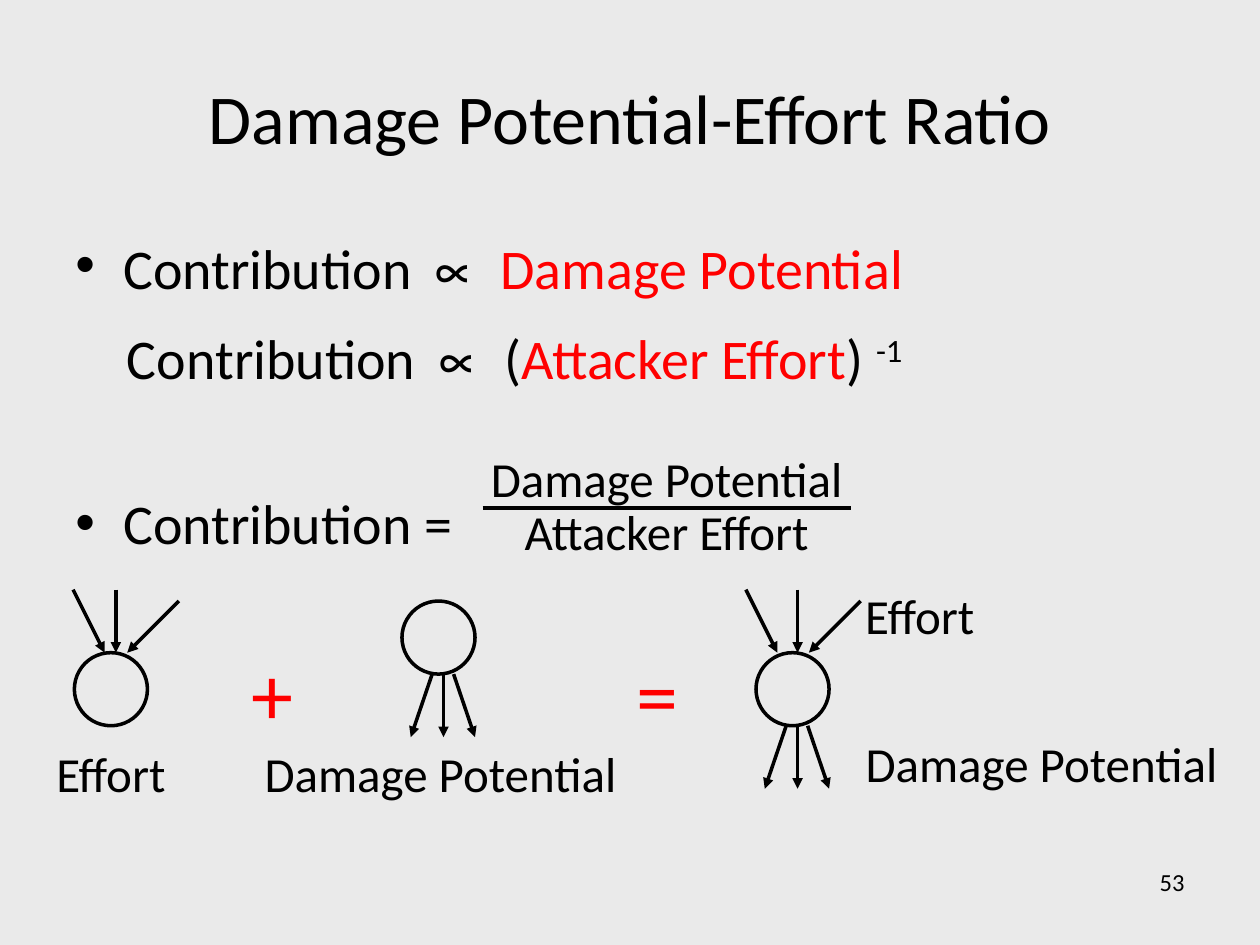
"""Builds the slide on the damage potential-effort ratio."""
import pptx
import pptx.util
import pptx.dml.color
import pptx.enum.shapes
import pptx.enum.text
import pptx.oxml.ns
import lxml.etree

Inches, Pt = pptx.util.Inches, pptx.util.Pt
qn = pptx.oxml.ns.qn
ALIGN, ANCHOR = pptx.enum.text.PP_ALIGN, pptx.enum.text.MSO_ANCHOR
BLACK = pptx.dml.color.RGBColor(0x00, 0x00, 0x00)
RED = pptx.dml.color.RGBColor(0xFF, 0x00, 0x00)
GREY = pptx.dml.color.RGBColor(0xEA, 0xEA, 0xEA)

deck = pptx.Presentation()
deck.slide_width, deck.slide_height = Inches(10), Inches(7.5)
slide = deck.slides.add_slide(deck.slide_layouts[6])
slide.background.fill.solid()
slide.background.fill.fore_color.rgb = GREY


def add_label(text, left, top, width, height, size, color=BLACK,
              align=ALIGN.CENTER, anchor=ANCHOR.MIDDLE, wrap=False, inset=0.1):
    label = slide.shapes.add_textbox(Inches(left), Inches(top), Inches(width), Inches(height))
    frame = label.text_frame
    frame.word_wrap = wrap
    frame.margin_left = frame.margin_right = Inches(inset)
    frame.vertical_anchor = anchor
    frame.paragraphs[0].alignment = align
    run = frame.paragraphs[0].add_run()
    run.text = text
    run.font.name, run.font.size, run.font.color.rgb = "Calibri", Pt(size), color


def add_line(start, end, width=2, arrow=True):
    line = slide.shapes.add_connector(
        pptx.enum.shapes.MSO_CONNECTOR.STRAIGHT, *map(Inches, start + end))
    line.line.color.rgb = BLACK
    line.line.width = Pt(width)
    if arrow:
        lxml.etree.SubElement(line.line._get_or_add_ln(), qn("a:tailEnd"), type="triangle")
    lxml.etree.SubElement(line._element.spPr, qn("a:effectLst"))


add_label("53", 7.17, 6.83, 2.33, 0.52, 14, align=ALIGN.RIGHT, anchor=ANCHOR.TOP, wrap=True)
add_label("Damage Potential-Effort Ratio", 0.5, 0.3, 9, 1.25, 40, wrap=True)

# bulleted, space before, runs of (text, size, font, color, baseline)
statements = [
    (True, 0, [("Contribution ", 32, "Calibri", BLACK, 0), ("∝", 36, "Arial", BLACK, 0),
               (" ", 32, "Calibri", BLACK, 0), ("Damage Potential", 32, "Calibri", RED, 0)]),
    (False, 8, [("Contribution ", 32, "Calibri", BLACK, 0), ("∝", 36, "Arial", BLACK, 0),
                (" (", 32, "Calibri", BLACK, 0), ("Attacker Effort", 32, "Calibri", RED, 0),
                (") ", 32, "Calibri", BLACK, 0), ("-1", 32, "Calibri", BLACK, 30000)]),
    (True, 55, [("Contribution =", 32, "Calibri", BLACK, 0)]),
]
body = slide.shapes.add_textbox(Inches(0.5), Inches(1.75), Inches(9), Inches(4.95)).text_frame
body.word_wrap = True
for index, (bulleted, space, runs) in enumerate(statements):
    statement = body.add_paragraph() if index else body.paragraphs[0]
    statement.space_before = Pt(space)
    properties = statement._p.get_or_add_pPr()
    properties.set("marL", str(Inches(0.38 if bulleted else 0.41)))
    properties.set("indent", str(Inches(-0.38 if bulleted else 0)))
    if bulleted:
        lxml.etree.SubElement(properties, qn("a:buFont"), typeface="Arial")
        lxml.etree.SubElement(properties, qn("a:buChar"), char="•")
    else:
        lxml.etree.SubElement(properties, qn("a:buNone"))
    for text, size, font, color, baseline in runs:
        run = statement.add_run()
        run.text = text
        run.font.name, run.font.size, run.font.color.rgb = font, Pt(size), color
        if baseline:
            run._r.get_or_add_rPr().set("baseline", str(baseline))

# axis of the arrows, circle top, shift of the left incoming arrow, has incoming, has outgoing
DIAMETER = 0.58
nodes = [(0.92, 5.18, 0.07, True, False),
         (3.52, 4.77, 0, False, True),
         (6.33, 5.18, 0, True, True)]
for axis, top, shift, incoming, outgoing in nodes:
    circle = slide.shapes.add_shape(
        pptx.enum.shapes.MSO_SHAPE.OVAL, Inches(axis - 0.33), Inches(top),
        Inches(DIAMETER), Inches(DIAMETER))
    circle.shadow.inherit = False
    circle.fill.background()
    circle.line.color.rgb = BLACK
    circle.line.width = Pt(2)
    if incoming:
        for tail, tip, rise in [(shift - 0.41, shift - 0.16, 0.5), (0, 0, 0.5), (0.5, 0.09, 0.41)]:
            add_line((axis + tail, top - rise), (axis + tip, top))
    if outgoing:
        bottom = top + DIAMETER
        for tail, tip in [(-0.09, -0.26), (0, 0), (0.08, 0.25)]:
            add_line((axis + tail, bottom), (axis + tip, bottom + 0.5))

for text, left, top, width in [("Effort", 0.34, 5.85, 1.08), ("Damage Potential", 1.99, 5.85, 3.01),
                               ("Effort", 6.76, 4.6, 1.08), ("Damage Potential", 6.76, 5.77, 3.01)]:
    add_label(text, left, top, width, 0.57, 28, anchor=ANCHOR.TOP)

add_label("+", 1.75, 5.08, 0.83, 0.83, 48, RED)
add_label("=", 4.95, 5, 0.53, 1, 48, RED)

for text, top in [("Damage Potential", 3.5), ("Attacker Effort", 3.92)]:
    add_label(text, 3.83, top, 2.92, 0.58, 28, inset=0)
add_line((3.83, 4.03), (6.75, 4.03), 2.25, arrow=False)

deck.save("out.pptx")
